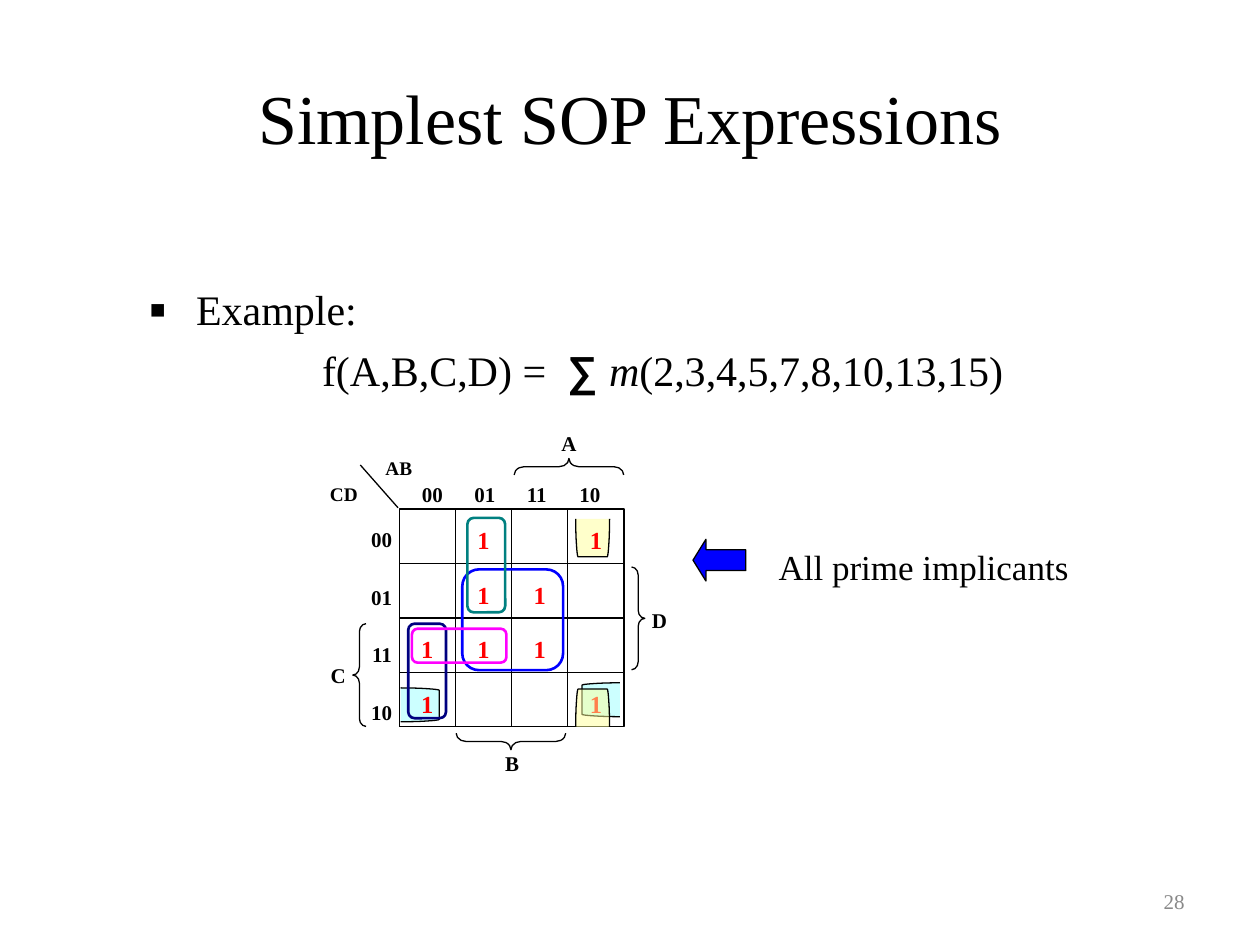
from dataclasses import dataclass

from lxml.etree import SubElement
from pptx import Presentation
from pptx.dml.color import RGBColor
from pptx.enum.shapes import MSO_CONNECTOR, MSO_SHAPE
from pptx.enum.text import MSO_ANCHOR, PP_ALIGN
from pptx.oxml.ns import qn
from pptx.util import Pt


@dataclass(frozen=True)
class Theme:
    font: str = "Times New Roman"
    symbol_font: str = "Arial"
    black: str = "000000"
    gray: str = "898989"
    red: str = "FF0000"
    blue: str = "0000FF"
    navy: str = "000080"
    teal: str = "008080"
    magenta: str = "FF00FF"
    yellow: str = "FFFF99"
    cyan: str = "CCFFFF"
    title_size: int = 40
    body_size: int = 24
    note_size: int = 20
    one_size: int = 14
    label_size: int = 12
    corner_size: int = 11
    thin: float = 0.75
    thick: float = 1.5


theme = Theme()
presentation = Presentation()
presentation.slide_width = Pt(720)
presentation.slide_height = Pt(540)
slide = presentation.slides.add_slide(presentation.slide_layouts[1])
shapes = slide.shapes
outlined = []  # shape, line colour, line width, fill colour


def add_label(text, left, top, width, height, size=theme.label_size,
              color=theme.black, bold=True, align=PP_ALIGN.CENTER):
    box = shapes.add_textbox(Pt(left), Pt(top), Pt(width), Pt(height))
    box.text_frame.word_wrap = True
    box.text_frame.text = text
    for paragraph in box.text_frame.paragraphs:
        paragraph.alignment = align
        for run in paragraph.runs:
            run.font.name = theme.font
            run.font.size = Pt(size)
            run.font.bold = bold
            run.font.color.rgb = RGBColor.from_string(color)
    return box


def add_cup(x, y, across, depth, fill):
    """Draw a wrap-around loop, open on the side that starts at (x, y)."""
    side = []
    for step in range(9):
        t = step / 8
        s = 1 - t
        side.append((s**3 + 3 * s * s * t + 3 * s * t * t * 0.96 + t**3 * 0.93,
                     3 * s * s * t * 0.5 + 3 * s * t * t + t**3))
    outline = side + [(1 - a, d) for a, d in reversed(side)]
    points = [(Pt(x + a * across[0] + d * depth[0]),
               Pt(y + a * across[1] + d * depth[1])) for a, d in outline]
    builder = shapes.build_freeform(*points[0])
    builder.add_line_segments(points[1:], close=False)
    outlined.append((builder.convert_to_shape(), theme.black, theme.thin, fill))


# Title
title = shapes.title
title.left, title.top, title.width, title.height = Pt(36), Pt(21.6), Pt(648), Pt(90)
title.text_frame.text = "Simplest SOP Expressions"
title.text_frame.vertical_anchor = MSO_ANCHOR.MIDDLE
title_paragraph = title.text_frame.paragraphs[0]
title_paragraph.alignment = PP_ALIGN.CENTER
title_font = title_paragraph.runs[0].font
title_font.name = theme.font
title_font.size = Pt(theme.title_size)
title_font.color.rgb = RGBColor.from_string(theme.black)

# Example and function
body = slide.placeholders[1]
body.left, body.top, body.width, body.height = Pt(77.8), Pt(158.4), Pt(624), Pt(78)
body.text_frame.text = "Example:"
example = body.text_frame.paragraphs[0]
formula = body.text_frame.add_paragraph()
for text in ("f(A,B,C,D) =  ", "∑ ", "m", "(2,3,4,5,7,8,10,13,15)"):
    formula.add_run().text = text
for paragraph, margin, indent in ((example, 27, -27), (formula, 99, 0)):
    paragraph.space_before = Pt(6)
    properties = paragraph._p.get_or_add_pPr()
    properties.set("marL", str(Pt(margin)))
    properties.set("indent", str(Pt(indent)))
    for run in paragraph.runs:
        run.font.name = theme.font
        run.font.size = Pt(theme.body_size)
        run.font.color.rgb = RGBColor.from_string(theme.black)
formula.runs[1].font.name = theme.symbol_font
formula.runs[1].font.bold = True
formula.runs[2].font.italic = True
SubElement(formula._p.pPr, qn("a:buNone"))
bullet_color = SubElement(example._p.pPr, qn("a:buClr"))
SubElement(bullet_color, qn("a:srgbClr"), val=theme.black)
SubElement(example._p.pPr, qn("a:buSzPct"), val="120000")
SubElement(example._p.pPr, qn("a:buFont"), typeface=theme.symbol_font)
SubElement(example._p.pPr, qn("a:buChar"), char="▪")

# Page number and note with its arrow
page_number = add_label("28", 516.2, 500.4, 167.8, 28.8, color=theme.gray,
                        bold=False, align=PP_ALIGN.RIGHT)
page_number.text_frame.vertical_anchor = MSO_ANCHOR.MIDDLE
note = add_label("All prime implicants", 437.8, 308.2, 198, 31.7,
                 theme.note_size, bold=False, align=PP_ALIGN.LEFT)
note.text_frame.paragraphs[0].space_before = Pt(12.5)
arrow = shapes.add_shape(MSO_SHAPE.LEFT_ARROW, Pt(396), Pt(308.2), Pt(30.2), Pt(23.8))
arrow.adjustments[1] = 0.31
outlined.append((arrow, theme.black, theme.thin, theme.blue))

# Loops that wrap around the map, behind the grid
add_cup(329, 296.6, (19.4, 0), (0, 21.6), theme.yellow)
add_cup(354.2, 390.2, (0, 19.4), (-21.6, 0), theme.cyan)
add_cup(229, 393.1, (0, 19.4), (22, 0), theme.cyan)

# Karnaugh map grid
left, top, cell_width, cell_height = 228.2, 290.9, 32.1, 31.1
right, bottom = left + 4 * cell_width, top + 4 * cell_height
grid = shapes.add_shape(MSO_SHAPE.RECTANGLE, Pt(left), Pt(top),
                        Pt(right - left), Pt(bottom - top))
outlined.append((grid, theme.black, theme.thin, None))
columns = [left + i * cell_width for i in range(1, 4)]
rows = [top + i * cell_height for i in range(1, 5)]
lines = [(x, top, x, bottom) for x in columns]
lines += [(left, y, right, y) for y in rows]
lines.append((227.5, 290.2, 205.9, 265.7))
for line in lines:
    connector = shapes.add_connector(MSO_CONNECTOR.STRAIGHT, *map(Pt, line))
    if line[0] == line[2] == columns[1]:
        connector.begin_connect(grid, 0)
        connector.end_connect(grid, 2)
    elif line[1] == line[3] == rows[1]:
        connector.begin_connect(grid, 1)
        connector.end_connect(grid, 3)
    connector.line.color.rgb = RGBColor.from_string(theme.black)
    connector.line.width = Pt(theme.thin)
    SubElement(connector._element.spPr, qn("a:effectLst"))

# Row, column and variable labels
row_labels = add_label("00\n01\n11\n10", 203, 297.4, 28.1, 128.9, align=PP_ALIGN.RIGHT)
for paragraph in row_labels.text_frame.paragraphs:
    paragraph.space_after = Pt(18.5)
column_labels = add_label("00\t01\t11\t10", 234, 271.4, 119.5, 25.2, align=PP_ALIGN.LEFT)
tabs = SubElement(column_labels.text_frame.paragraphs[0]._p.pPr, qn("a:tabLst"))
for i in range(1, 4):
    SubElement(tabs, qn("a:tab"), pos=str(Pt(30 * i)), algn="l")
add_label("CD", 174.2, 272.2, 44.6, 20.9, theme.corner_size)
add_label("AB", 209.5, 257, 36.7, 20.9, theme.corner_size)
for name, x, y in (("A", 313.2, 242.6), ("B", 280.8, 425.5),
                   ("C", 181.4, 375.1), ("D", 365, 343.4)):
    add_label(name, x, y, 23.8, 25.2)

# Braces
for kind, x, y, width, height, rotation in (
        (MSO_SHAPE.LEFT_BRACE, 320.4, 235.4, 9.4, 62.6, 90),
        (MSO_SHAPE.LEFT_BRACE, 287.3, 392.4, 9.4, 62.6, 270),
        (MSO_SHAPE.LEFT_BRACE, 201.6, 356.4, 7.6, 58.7, 0),
        (MSO_SHAPE.RIGHT_BRACE, 360.9, 324, 7.6, 58.7, 0)):
    brace = shapes.add_shape(kind, Pt(x), Pt(y), Pt(width), Pt(height))
    brace.adjustments[0] = 0.6
    brace.rotation = rotation
    outlined.append((brace, theme.black, theme.thin, None))

# Minterms
for row, column in ((0, 1), (0, 3), (1, 1), (1, 2), (2, 0),
                    (2, 1), (2, 2), (3, 0), (3, 3)):
    add_label("1", left + column * cell_width, top + 5.8 + row * cell_height,
              cell_width, 25, theme.one_size, theme.red)

# Prime implicants
for x, y, width, height, color in ((264.2, 325.4, 57.6, 57.6, theme.blue),
                                   (233.3, 356.4, 21.6, 54, theme.navy),
                                   (267.1, 295.9, 21.6, 54, theme.teal),
                                   (235.4, 359.3, 54, 19.4, theme.magenta)):
    loop = shapes.add_shape(MSO_SHAPE.ROUNDED_RECTANGLE, Pt(x), Pt(y), Pt(width), Pt(height))
    outlined.append((loop, color, theme.thick, None))
add_cup(329, 415.4, (19.4, 0), (0, -21.6), theme.yellow)

for shape, line_color, line_width, fill in outlined:
    shape.shadow.inherit = False
    shape.line.color.rgb = RGBColor.from_string(line_color)
    shape.line.width = Pt(line_width)
    if fill is None:
        shape.fill.background()
        continue
    shape.fill.solid()
    shape.fill.fore_color.rgb = RGBColor.from_string(fill)
    if fill == theme.yellow:
        fill_color = shape._element.spPr.find(qn("a:solidFill"))[0]
        SubElement(fill_color, qn("a:alpha"), val="50000")

presentation.save("out.pptx")
